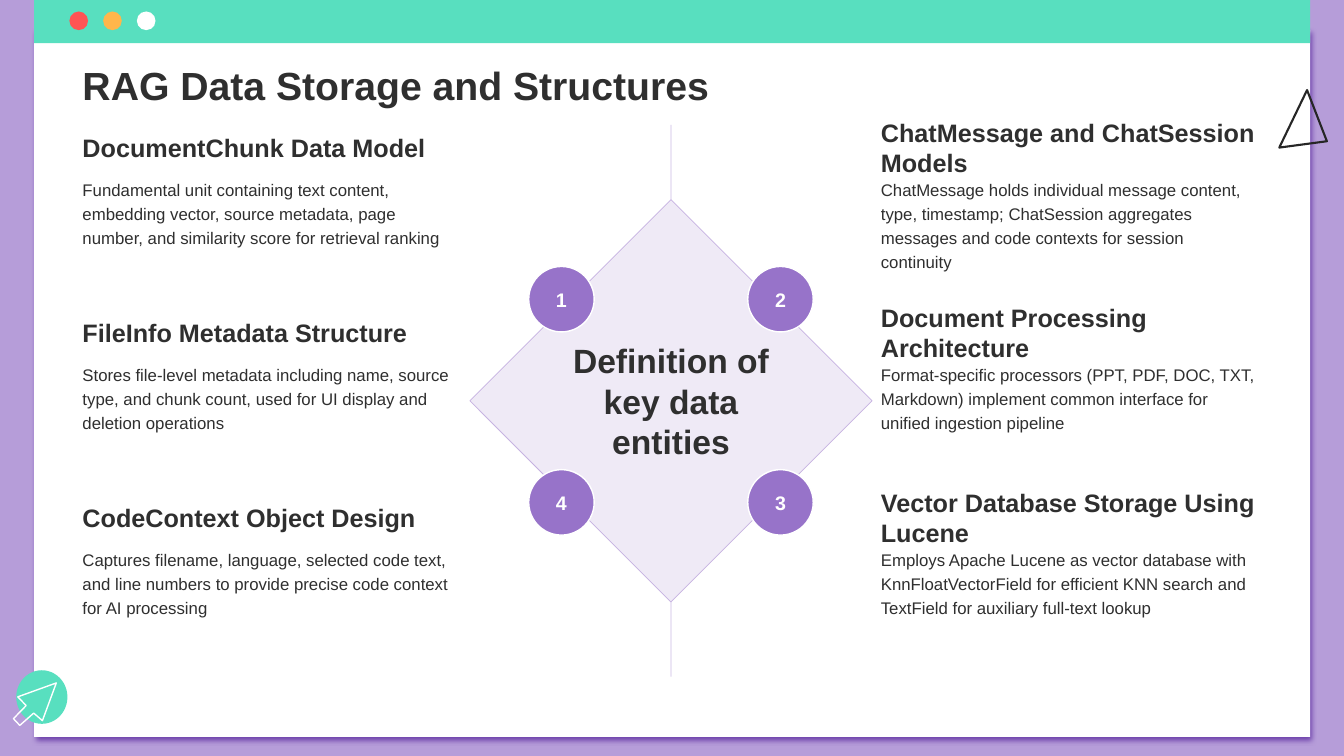
from dataclasses import dataclass
from itertools import product

from lxml.etree import SubElement
from pptx import Presentation
from pptx.dml.color import RGBColor
from pptx.enum.shapes import MSO_CONNECTOR, MSO_SHAPE as Preset
from pptx.enum.text import MSO_ANCHOR as Anchor, PP_ALIGN as Align
from pptx.oxml.ns import qn
from pptx.util import Cm, Pt

PURPLE, TEAL, INK, WHITE = "9773C9", "58DFBF", "2F2F2F", "FFFFFF"
CENTER_X, CENTER_Y, DIAMOND = 16.91, 10.1, 10.14
TOPIC_TOP, TOPIC_STEP = 3.15, 4.66
TOPIC_WIDTH, HEADING_HEIGHT, BODY_HEIGHT = 10.03, 1.15, 3.4
BADGE, BADGE_DX, BADGE_DY = 1.65, 2.76, 2.56


@dataclass
class Frame:
    """Place and size in centimetres."""
    left: float
    top: float
    width: float
    height: float

    def lengths(self) -> tuple:
        return Cm(self.left), Cm(self.top), Cm(self.width), Cm(self.height)


@dataclass
class Topic:
    heading: str
    body: str


@dataclass
class Style:
    size: float
    color: str = INK
    bold: bool = True
    align: Align = Align.LEFT
    anchor: Anchor = Anchor.MIDDLE
    spacing: float = 1.0


TITLE = Style(28, anchor=Anchor.BOTTOM)
HEADING = Style(18)
BODY = Style(12, bold=False, anchor=Anchor.TOP, spacing=1.2)
CENTER = Style(24, align=Align.CENTER)
NUMBER = Style(14, WHITE, align=Align.CENTER)

COLUMNS = {
    1.83: [
        Topic("DocumentChunk Data Model",
              "Fundamental unit containing text content, embedding vector, source metadata, "
              "page number, and similarity score for retrieval ranking"),
        Topic("FileInfo Metadata Structure",
              "Stores file-level metadata including name, source type, and chunk count, "
              "used for UI display and deletion operations"),
        Topic("CodeContext Object Design",
              "Captures filename, language, selected code text, and line numbers "
              "to provide precise code context for AI processing"),
    ],
    21.95: [
        Topic("ChatMessage and ChatSession Models",
              "ChatMessage holds individual message content, type, timestamp; ChatSession "
              "aggregates messages and code contexts for session continuity"),
        Topic("Document Processing Architecture",
              "Format-specific processors (PPT, PDF, DOC, TXT, Markdown) implement "
              "common interface for unified ingestion pipeline"),
        Topic("Vector Database Storage Using Lucene",
              "Employs Apache Lucene as vector database with KnnFloatVectorField for "
              "efficient KNN search and TextField for auxiliary full-text lookup"),
    ],
}
CURSOR = [(0.5, 18.28), (0.34, 18.11), (0.66, 17.78), (0.45, 17.56),
          (1.42, 17.21), (1.07, 18.16), (0.85, 17.97)]
TRIANGLE = [(32.94, 2.27), (32.24, 3.72), (33.44, 3.56)]


def rgb(color: str) -> RGBColor:
    return RGBColor.from_string(color)


def set_alpha(fill_or_line, percent: int) -> None:
    color = next(fill_or_line.iter(qn("a:srgbClr")))
    SubElement(color, qn("a:alpha"), val=str(percent * 1000))


def set_line(shape, color: str, width: float, alpha: int = 100) -> None:
    shape.line.color.rgb = rgb(color)
    shape.line.width = Pt(width)
    if alpha < 100:
        set_alpha(shape.line._get_or_add_ln(), alpha)


def add_preset(page, preset: Preset, frame: Frame, fill: str, alpha: int = 100):
    """Add a filled shape without shadow or outline."""
    shape = page.shapes.add_shape(preset, *frame.lengths())
    shape.shadow.inherit = False
    shape.fill.solid()
    shape.fill.fore_color.rgb = rgb(fill)
    if alpha < 100:
        set_alpha(shape._element.spPr.find(qn("a:solidFill")), alpha)
    shape.line.fill.background()
    return shape


def add_outline(page, points: list, color: str, width: float) -> None:
    builder = page.shapes.build_freeform(*(Cm(value) for value in points[0]), scale=1.0)
    builder.add_line_segments([(Cm(x), Cm(y)) for x, y in points[1:]], close=True)
    shape = builder.convert_to_shape()
    shape.shadow.inherit = False
    shape.fill.background()
    set_line(shape, color, width)


def write(shape, text: str, style: Style, wrap: bool = True) -> None:
    shape.text_frame.word_wrap = wrap
    shape.text_frame.vertical_anchor = style.anchor
    para = shape.text_frame.paragraphs[0]
    para.text = text
    para.alignment = style.align
    para.line_spacing = style.spacing
    para.font.name = "Arial"
    para.font.size = Pt(style.size)
    para.font.bold = style.bold
    para.font.color.rgb = rgb(style.color)


def add_text(page, frame: Frame, text: str, style: Style) -> None:
    write(page.shapes.add_textbox(*frame.lengths()), text, style)


def add_window(page) -> None:
    """Draw the browser window with its bar, buttons and ornaments."""
    window = add_preset(page, Preset.RECTANGLE, Frame(0.86, 0.76, 32.16, 17.81), WHITE)
    effects = window._element.spPr.find(qn("a:effectLst"))
    shadow = SubElement(effects, qn("a:outerShdw"), blurRad=str(Pt(4)), dist=str(Pt(3)),
                        dir=str(45 * 60000), algn="bl", rotWithShape="0")
    SubElement(shadow, qn("a:srgbClr"), val="6E42AB")
    add_preset(page, Preset.RECTANGLE, Frame(0.86, 0, 32.16, 1.09), TEAL)
    for index, color in enumerate(["FF5454", "FFB64B", WHITE]):
        add_preset(page, Preset.OVAL, Frame(1.75 + 0.85 * index, 0.29, 0.47, 0.47), color)
    add_preset(page, Preset.OVAL, Frame(0.41, 16.89, 1.29, 1.35), TEAL)
    add_outline(page, CURSOR, WHITE, 1)
    add_outline(page, TRIANGLE, "262626", 1.5)


def add_axis(page, top: float, bottom: float) -> None:
    axis = page.shapes.add_connector(MSO_CONNECTOR.STRAIGHT, Cm(CENTER_X), Cm(top),
                                     Cm(CENTER_X), Cm(bottom))
    SubElement(axis._element.spPr, qn("a:effectLst"))
    set_line(axis, PURPLE, 0.5, alpha=50)


def centered(x: float, y: float, width: float, height: float) -> Frame:
    return Frame(x - width / 2, y - height / 2, width, height)


def add_diagram(page) -> None:
    half, reach = DIAMOND / 2, 6.95
    for side in (-1, 1):
        add_axis(page, *sorted([CENTER_Y + side * half, CENTER_Y + side * reach]))
    diamond = add_preset(page, Preset.DIAMOND,
                         centered(CENTER_X, CENTER_Y, DIAMOND, DIAMOND), PURPLE, alpha=15)
    set_line(diamond, PURPLE, 0.5, alpha=50)
    for number, (down, right) in zip("1243", product((-1, 1), repeat=2)):
        badge = add_preset(page, Preset.OVAL,
                           centered(CENTER_X + right * BADGE_DX, CENTER_Y + down * BADGE_DY,
                                    BADGE, BADGE), PURPLE)
        set_line(badge, WHITE, 1)
        write(badge, number, NUMBER, wrap=False)
    add_text(page, centered(CENTER_X, CENTER_Y, 6.99, 3.58),
             "Definition of key data entities", CENTER)


def main() -> None:
    deck = Presentation()
    deck.slide_width, deck.slide_height = Cm(33.87), Cm(19.05)
    page = deck.slides.add_slide(deck.slide_layouts[6])
    page.background.fill.solid()
    page.background.fill.fore_color.rgb = rgb("B69DD9")
    add_window(page)
    for left, topics in COLUMNS.items():
        for row, topic in enumerate(topics):
            top = TOPIC_TOP + TOPIC_STEP * row
            add_text(page, Frame(left, top, TOPIC_WIDTH, HEADING_HEIGHT), topic.heading, HEADING)
            add_text(page, Frame(left, top + HEADING_HEIGHT, TOPIC_WIDTH, BODY_HEIGHT),
                     topic.body, BODY)
    add_diagram(page)
    add_text(page, Frame(1.83, 0.36, 30.18, 2.49), "RAG Data Storage and Structures", TITLE)
    deck.save("out.pptx")


if __name__ == "__main__":
    main()
